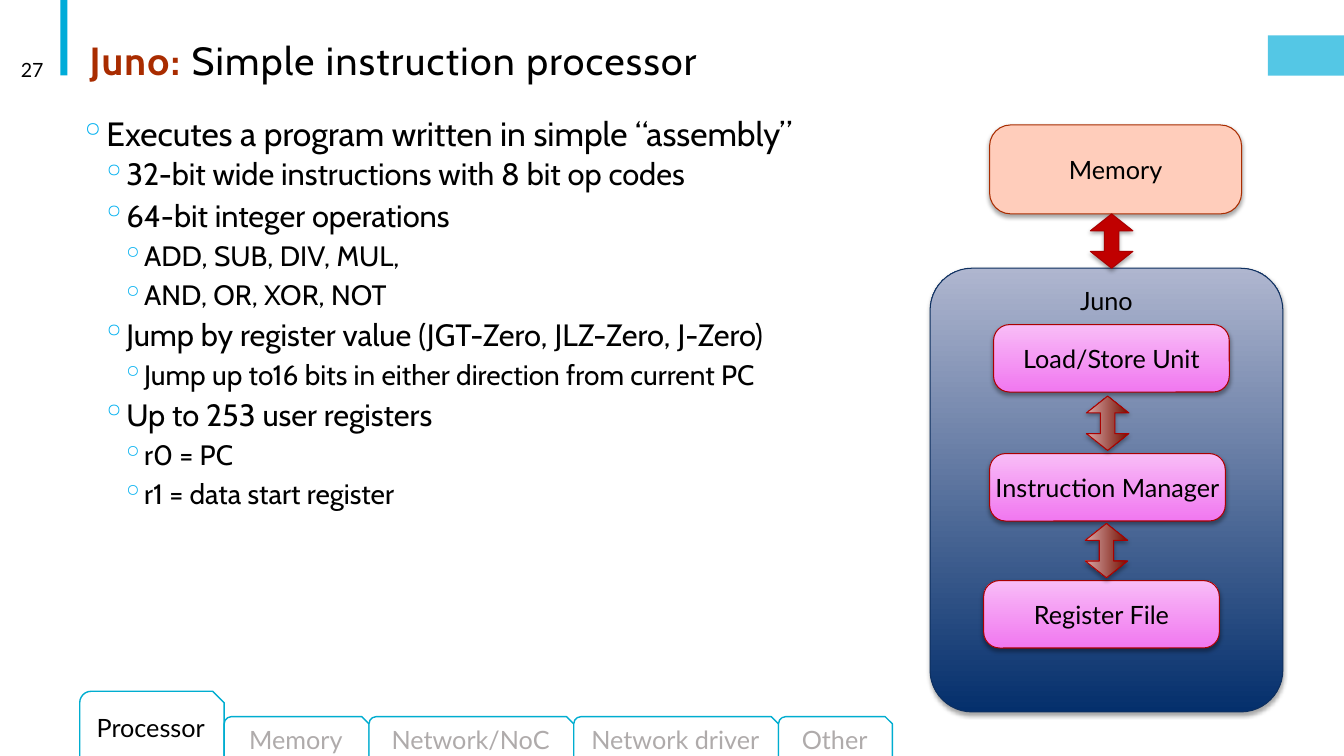
from lxml import etree
from pptx import Presentation
from pptx import util as u
from pptx.dml.color import RGBColor
from pptx.enum import shapes, text
from pptx.oxml.ns import qn

Cm, Pt = u.Cm, u.Pt
FORM, ANCHOR, ALIGN = shapes.MSO_SHAPE, text.MSO_ANCHOR, text.PP_ALIGN

COLORS = {
    "black": "000000", "white": "FFFFFF", "grey": "AFABAB",
    "accent": "00ACD9", "rust": "A92C00", "bullet": "00B0F0",
    "peach": "FFCDBB", "navy": "042F6C", "haze": "AFB6CF", "navy_line": "0E3060",
    "red": "C00000", "red_line": "AA0000", "maroon": "730E00", "rose": "DAA9A9",
    "violet": "F178F0", "pink": "F8BCF7", "tab_line": "00ADD0",
}

TITLE = [("Juno: ", "rust", True), ("Simple instruction processor", "black", False)]
POINTS = [
    (0, "Executes a program written in simple “assembly”"),
    (1, "32-bit wide instructions with 8 bit op codes"),
    (1, "64-bit integer operations"),
    (2, "ADD, SUB, DIV, MUL,"),
    (2, "AND, OR, XOR, NOT"),
    (1, "Jump by register value (JGT-Zero, JLZ-Zero, J-Zero)"),
    (2, "Jump up to16 bits in either direction from current PC"),
    (1, "Up to 253 user registers"),
    (2, "r0 = PC"),
    (2, "r1 = data start register"),
]
LEVELS = [(24, 0.25, 2), (22, 1.07, 4), (20, 1.57, 4)]
UNITS = [
    ("Load/Store Unit", 25.04, 8.18),
    ("Instruction Manager", 24.94, 11.43),
    ("Register File", 24.79, 14.63),
]
ARROWS = [
    (27.33, 5.54, ("red",)),
    (27.23, 10.13, ("maroon", "rose")),
    (27.2, 13.34, ("maroon", "rose")),
]
TABS = [("Processor", 3.64), ("Memory", 3.65), ("Network/NoC", 5.16),
        ("Network driver", 5.16), ("Other", 2.87)]
ACTIVE_TAB = "Processor"
TABS_LEFT, TABS_BOTTOM = 2.01, 19.15

deck = Presentation()
deck.slide_width, deck.slide_height = Cm(33.87), Cm(19.05)
slide = deck.slides.add_slide(deck.slide_layouts[6])


def rgb(name):
    return RGBColor.from_string(COLORS[name])


def write(paragraph, words, size, color="black", font="Lato", bold=False):
    run = paragraph.add_run()
    run.text = words
    run.font.size, run.font.name, run.font.bold = Pt(size), font, bold
    run.font.color.rgb = rgb(color)
    return run


def text_frame(box, anchor, margins=None):
    area = slide.shapes.add_textbox(*map(Cm, box)).text_frame
    area.word_wrap = True
    area.vertical_anchor = anchor
    if margins:
        set_margins(area, *margins)
    return area


def set_margins(area, across, down):
    area.margin_left = area.margin_right = Cm(across)
    area.margin_top = area.margin_bottom = Cm(down)


def draw(form, box, fill, line=None, width=0.75, shadow=False):
    part = slide.shapes.add_shape(form, *map(Cm, box))
    part.shadow.inherit = False
    if len(fill) == 2:
        part.fill.gradient()
        part.fill.gradient_angle = 90
        for stop, color, place in zip(part.fill.gradient_stops, fill, (0, 1)):
            stop.color.rgb, stop.position = rgb(color), place
    else:
        part.fill.solid()
        part.fill.fore_color.rgb = rgb(fill[0])
    if line:
        part.line.color.rgb, part.line.width = rgb(line), Pt(width)
    else:
        part.line.fill.background()
    if shadow:
        effects = part._element.spPr.find(qn("a:effectLst"))
        cast = etree.SubElement(effects, qn("a:outerShdw"), blurRad=str(Pt(3)),
                                dist=str(Pt(1.8)), dir="5400000", rotWithShape="0")
        tint = etree.SubElement(cast, qn("a:srgbClr"), val=COLORS["black"])
        etree.SubElement(tint, qn("a:alpha"), val="35000")
    return part


def label(part, words, color="black", anchor=ANCHOR.MIDDLE, margin=None, wrap=True):
    area = part.text_frame
    area.word_wrap = wrap
    area.vertical_anchor = anchor
    if margin is not None:
        set_margins(area, margin, margin)
    area.paragraphs[0].alignment = ALIGN.CENTER
    write(area.paragraphs[0], words, 18, color)


def block(words, box, fill, line, corner, **placing):
    part = draw(FORM.ROUNDED_RECTANGLE, box, fill, line, shadow=True)
    part.adjustments[0] = corner
    label(part, words, **placing)


draw(FORM.RECTANGLE, (1.52, 0, 0.18, 1.9), ("accent",))
badge = draw(FORM.RECTANGLE, (31.95, 0.89, 1.92, 1.02), ("accent",))
badge_tint = badge._element.spPr.find(qn("a:solidFill"))[0]
etree.SubElement(badge_tint, qn("a:alpha"), val="67000")

heading = text_frame((2.01, 0.66, 27.94, 1.57), ANCHOR.BOTTOM).paragraphs[0]
heading.line_spacing = 0.85
for words, color, bold in TITLE:
    run = write(heading, words, 28, color, "Cabin", bold)
    run.font._element.set("spc", "100")

number = text_frame((0.18, 1.24, 1.17, 1.02), ANCHOR.MIDDLE).paragraphs[0]
number.alignment = ALIGN.RIGHT
write(number, "27", 14)

points = text_frame((2.01, 2.82, 20.29, 12.95), ANCHOR.TOP, (0, 0.13))
for index, (level, words) in enumerate(POINTS):
    point = points.add_paragraph() if index else points.paragraphs[0]
    size, margin, after = LEVELS[level]
    props = point._p.get_or_add_pPr()
    props.set("marL", str(Cm(margin)))
    props.set("indent", str(Cm(-0.51)))
    bullet_color = etree.SubElement(props, qn("a:buClr"))
    etree.SubElement(bullet_color, qn("a:srgbClr"), val=COLORS["bullet"])
    etree.SubElement(props, qn("a:buChar"), char="◦")
    point.level = level
    point.line_spacing = 0.9
    point.space_before = Pt(2 if index else 0)
    point.space_after = Pt(after)
    write(point, words, size, font="Cabin")

block("Memory", (24.94, 3.15, 6.35, 2.24), ("peach",), "rust", 0.236, margin=0)
block("Juno", (23.44, 6.76, 8.89, 11.18), ("navy", "haze"), "navy_line", 0.119,
      anchor=ANCHOR.TOP, margin=0.13)
for words, left, top in UNITS:
    block(words, (left, top, 5.94, 1.7), ("violet", "pink"), "red_line", 0.236,
          margin=0, wrap=False)
for left, top, fill in ARROWS:
    arrow = draw(FORM.LEFT_RIGHT_ARROW, (left, top, 1.37, 1.07), fill, "red_line", shadow=True)
    arrow.rotation = 270
    arrow.adjustments[0], arrow.adjustments[1] = 0.34, 0.397

tab_left = TABS_LEFT
for words, width in TABS:
    active = words == ACTIVE_TAB
    height = 1.73 if active else 1.09
    tab = draw(FORM.SNIP_ROUND_RECTANGLE, (tab_left, TABS_BOTTOM - height, width, height),
               ("white",), "tab_line", 1)
    label(tab, words, "black" if active else "grey")
    tab_left += width

deck.save("out.pptx")
